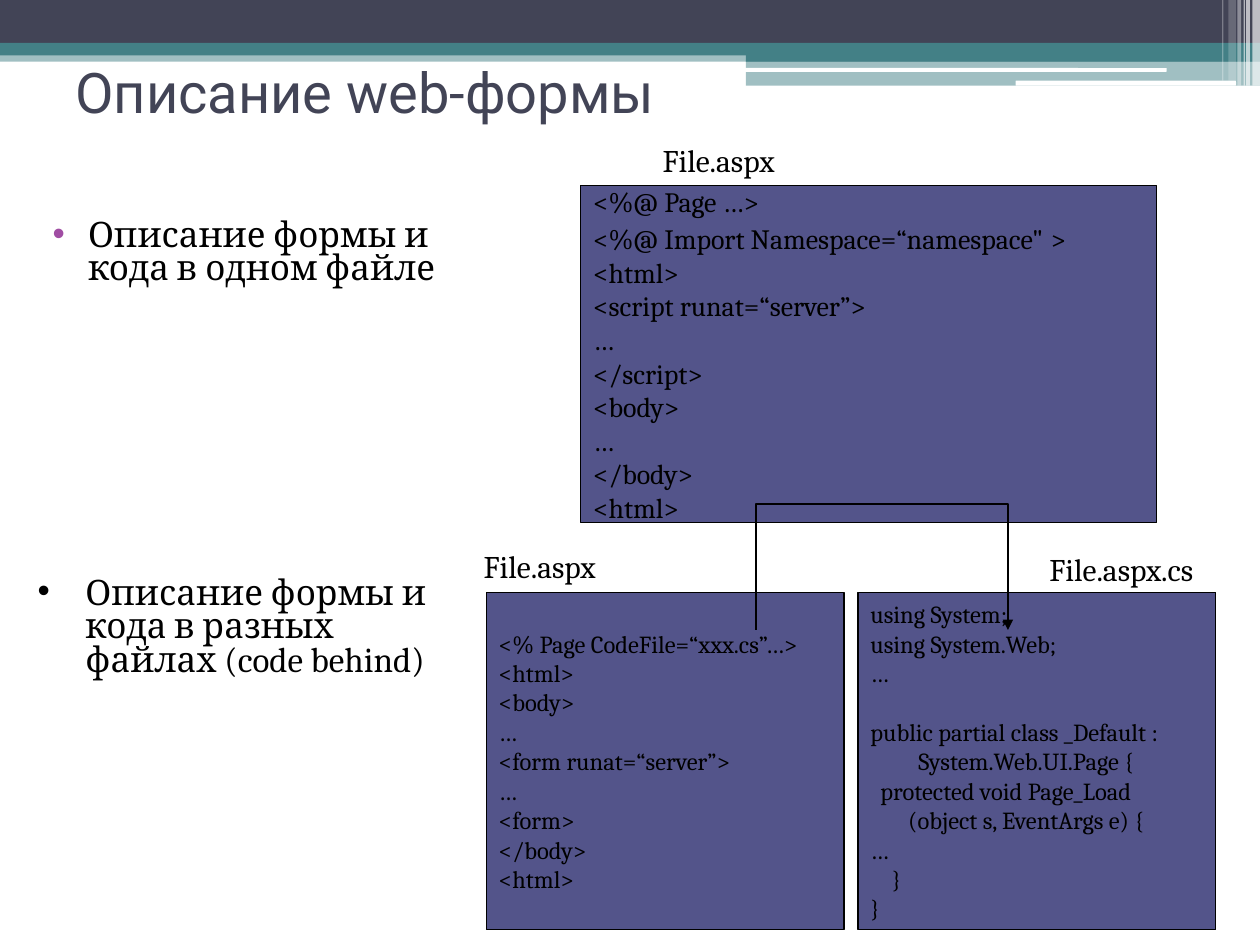
from dataclasses import dataclass

from lxml.etree import SubElement
from pptx import Presentation
from pptx.dml.color import RGBColor
from pptx.enum.shapes import MSO_SHAPE as Shape
from pptx.enum.text import MSO_ANCHOR as Anchor
from pptx.oxml.ns import qn
from pptx.util import Inches, Pt


@dataclass(frozen=True)
class Theme:
    ink: str = "000000"
    dark: str = "424456"
    teal: str = "438086"
    white: str = "FFFFFF"
    panel: str = "53548A"
    bullet: str = "A04DA3"
    heading_font: str = "Roboto"
    body_font: str = "Cambria"
    title: int = 32
    body: int = 20
    label: int = 18
    code: int = 16
    small_code: int = 14
    line: float = 0.75


class SlideBuilder:
    def __init__(self, slide, theme):
        self.shapes = slide.shapes
        self.theme = theme

    def add_run(self, paragraph, text, size, font=None, color=None):
        run = paragraph.add_run()
        run.text = text
        run.font.size = Pt(size)
        run.font.name = font or self.theme.body_font
        run.font.color.rgb = RGBColor.from_string(color or self.theme.ink)

    def block(self, box, color, alpha=100, preset=Shape.RECTANGLE):
        """Draw a filled shape without outline; alpha is opacity in percent."""
        block = self.shapes.add_shape(preset, *map(Inches, box))
        block.shadow.inherit = False
        block.fill.solid()
        block.fill.fore_color.rgb = RGBColor.from_string(color)
        block.line.fill.background()
        if alpha < 100:
            tint = block.fill._xPr.find(".//" + qn("a:srgbClr"))
            SubElement(tint, qn("a:alpha"), val=str(alpha * 1000))
        return block

    def outline(self, shape):
        shape.line.color.rgb = RGBColor.from_string(self.theme.ink)
        shape.line.width = Pt(self.theme.line)

    def text(self, box, text, size, font=None, color=None, anchor=Anchor.TOP):
        """Add a one-paragraph text box and return its paragraph."""
        frame = self.shapes.add_textbox(*map(Inches, box)).text_frame
        frame.word_wrap = True
        frame.vertical_anchor = anchor
        paragraph = frame.paragraphs[0]
        self.add_run(paragraph, text, size, font, color)
        return paragraph

    def bullet(self, box, text, hang, left, space_before, color):
        paragraph = self.text(box, text, self.theme.body)
        paragraph.line_spacing = 0.8
        paragraph.space_before = Pt(space_before)
        props = paragraph._p.get_or_add_pPr()
        props.set("marL", str(Inches(left)))
        props.set("indent", str(-Inches(hang)))
        SubElement(SubElement(props, qn("a:buClr")), qn("a:srgbClr"), val=color)
        SubElement(props, qn("a:buFont"), typeface="Arial")
        SubElement(props, qn("a:buChar"), char="•")

    def code(self, box, lines, size):
        """Each line is (runs, indent in inches, space before in points)."""
        panel = self.block(box, self.theme.panel)
        self.outline(panel)
        frame = panel.text_frame
        frame.word_wrap = True
        frame.vertical_anchor = Anchor.MIDDLE
        for index, (runs, indent, gap) in enumerate(lines):
            paragraph = frame.add_paragraph() if index else frame.paragraphs[0]
            props = paragraph._p.get_or_add_pPr()
            props.set("algn", "l")
            props.set("marL", str(Inches(indent)))
            if gap:
                paragraph.space_before = Pt(gap)
            for text, run_size in runs:
                self.add_run(paragraph, text, run_size or size)

    def curved_arrow(self, start, points):
        """Draw cubic curves; points come in threes: two controls and an end."""
        builder = self.shapes.build_freeform(*start, scale=Inches(1))
        builder.add_line_segments(points, close=False)
        arrow = builder.convert_to_shape()
        arrow.shadow.inherit = False
        arrow.fill.background()
        self.outline(arrow)
        outline = arrow._element.find(".//" + qn("a:path"))
        segments = outline.findall(qn("a:lnTo"))
        for first in range(0, len(segments), 3):
            curve = SubElement(outline, qn("a:cubicBezTo"))
            for segment in segments[first:first + 3]:
                curve.append(segment[0])
                outline.remove(segment)
        SubElement(arrow.line._get_or_add_ln(), qn("a:tailEnd"), type="triangle")


def plain(*lines):
    return [([(line, None)], 0, 0) for line in lines]


def draw_header(page, theme):
    page.block((0, 0.4, 10, 0.09), theme.teal, 50)
    page.block((0, 0, 10, 0.34), theme.dark)
    page.block((0, 0.34, 10, 0.1), theme.teal)
    page.block((5.92, 0.39, 4.08, 0.1), theme.teal)
    page.block((5.92, 0.48, 4.08, 0.2), theme.teal, 50)
    for box in ((5.91, 0.54, 3.35, 0.03), (8.06, 0.64, 1.75, 0.04)):
        page.block(box, theme.white, preset=Shape.ROUNDED_RECTANGLE)
    stripes = [
        (9.94, 0.06, 0.68, 65), (9.89, 0.03, 0.68, 65),
        (9.87, 0.01, 0.68, 60), (9.82, 0.03, 0.68, 40),
        (9.75, 0.06, 0.64, 20), (9.7, 0.01, 0.64, 30),
    ]
    for left, width, height, alpha in stripes:
        page.block((left, 0, width, height), theme.white, alpha)


def main():
    theme = Theme()
    deck = Presentation()
    deck.slide_width, deck.slide_height = Inches(10), Inches(7.5)
    page = SlideBuilder(deck.slides.add_slide(deck.slide_layouts[6]), theme)

    draw_header(page, theme)
    page.text((0.5, 0.3, 9, 0.85), "Описание web-формы", theme.title,
              theme.heading_font, theme.dark, Anchor.MIDDLE)

    page.bullet((0.2, 1.7, 3.79, 0.66), "Описание формы и кода в одном файле",
                hang=0.28, left=0.4, space_before=3, color=theme.bullet)
    import_line = [("<%@ Import Namespace=“namespace\"", None),
                   (" ", theme.label), (">", None)]
    single_file = (
        plain("<%@ Page …>") + [(import_line, 0, 0)]
        + plain("<html>", "<script runat=“server”>", "…", "</script>",
                "<body>", "…", "</body>", "<html>"))
    page.code((4.61, 1.47, 4.57, 2.68), single_file, theme.code)

    page.bullet((0.2, 4.54, 3.62, 0.94),
                "Описание формы и кода в разных файлах (code behind)",
                hang=0.38, left=0.38, space_before=4, color=theme.ink)
    markup = plain("<% Page CodeFile=“xxx.cs”…>", "<html>", "<body>", "…",
                   "<form runat=“server”>", "…", "<form>", "</body>", "<html>")
    code_behind = plain("using System;", "using System.Web;", "…") + [
        ([("public partial class _Default :", None)], 0, 16.8),
        ([("System.Web.UI.Page {", None)], 0.38, 0),
        ([("protected void Page_Load", None)], 0.08, 0),
        ([("(object s, EventArgs e) {", None)], 0.3, 0),
        ([("…", None)], 0, 0),
        ([("}", None)], 0.17, 0),
        ([("}", None)], 0, 0),
    ]
    for left, lines in ((3.86, markup), (6.81, code_behind)):
        page.code((left, 4.7, 2.84, 2.68), lines, theme.small_code)

    page.curved_arrow((5.94, 4.93), [
        (5.98, 4.85), (6.02, 4.77), (6.1, 4.69),
        (6.18, 4.62), (6.28, 4.51), (6.42, 4.46),
        (6.55, 4.41), (6.69, 4.39), (6.89, 4.38),
        (7.09, 4.36), (7.43, 4.36), (7.6, 4.38),
        (7.77, 4.39), (7.82, 4.39), (7.91, 4.46),
        (8.01, 4.52), (8.11, 4.71), (8.15, 4.77),
    ])

    file_labels = [(5.16, 1.07, 1.42, "File.aspx"), (3.74, 4.29, 1.42, "File.aspx"),
                   (8.23, 4.32, 1.57, "File.aspx.cs")]
    for left, top, width, name in file_labels:
        page.text((left, top, width, 0.4), name, theme.label)

    deck.save("out.pptx")


if __name__ == "__main__":
    main()
